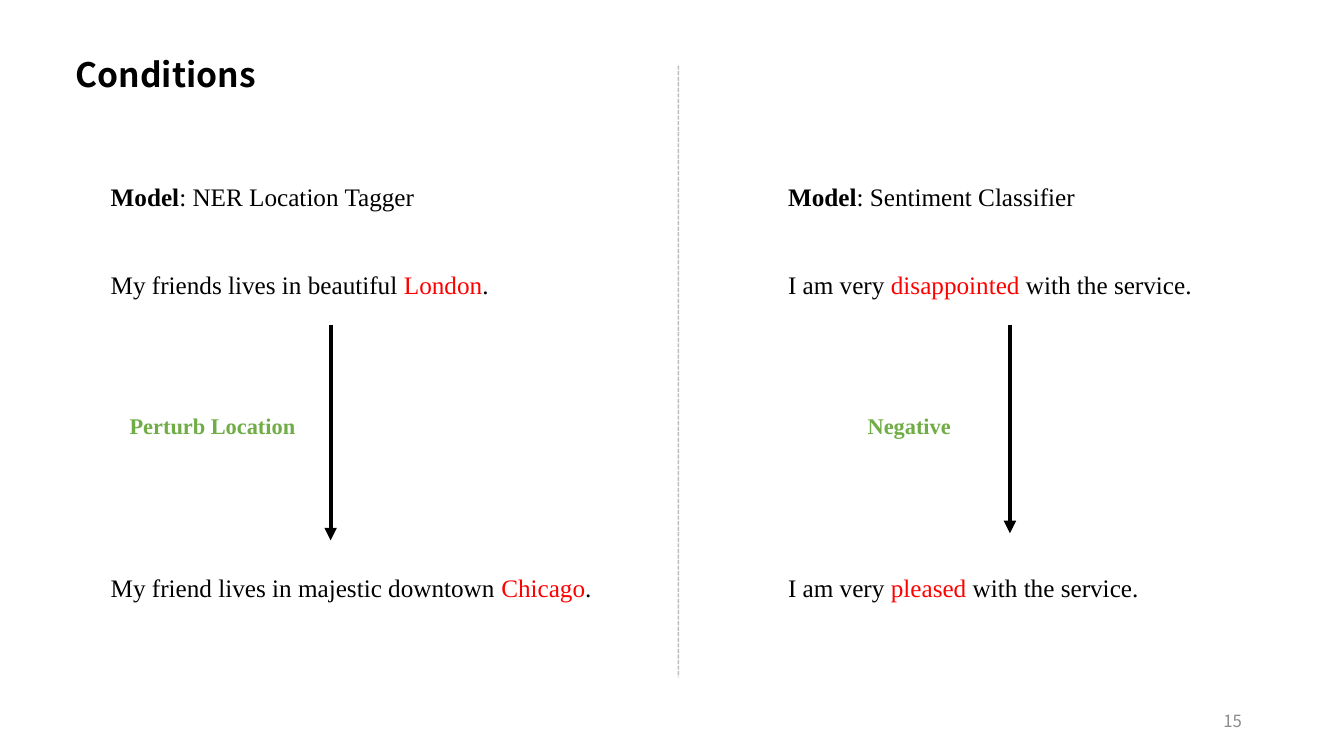
from lxml.etree import SubElement
from pptx import Presentation
from pptx.dml.color import RGBColor
from pptx.enum.dml import MSO_LINE
from pptx.enum.shapes import MSO_CONNECTOR
from pptx.enum.text import MSO_ANCHOR, MSO_AUTO_SIZE, PP_ALIGN
from pptx.oxml.ns import qn
from pptx.util import Pt

SANS, SERIF = "Noto Sans CJK SC", "Times New Roman"
BLACK, RED, GREEN, GRAY = "000000", "FF0000", "70AD47", "8C8C8C"
TITLE, NUMBER = "Conditions", "15"

SIDES = [
    {
        "left": 72,
        "model": ": NER Location Tagger",
        "before": ("My friends lives in beautiful ", "London", "."),
        "after": ("My friend lives in majestic downtown ", "Chicago", "."),
        "change": ("Perturb Location", 85.5, 171),
        "arrow": (236.2, 386),
    },
    {
        "left": 555.8,
        "model": ": Sentiment Classifier",
        "before": ("I am very ", "disappointed", " with the service."),
        "after": ("I am very ", "pleased", " with the service."),
        "change": ("Negative", 612.7, 78),
        "arrow": (721.4, 381),
    },
]
ROWS = {"model": 126, "before": 188.9, "after": 404.9}
WIDE, HIGH = 400, 29
LABEL_TOP, ARROW_TOP = 290.9, 231.8
SPLIT = (484.6, 46.8, 483.8)


def paint(color):
    return RGBColor.from_string(color)


def style(run, size, face, color, bold=False):
    font = run.font
    font.size, font.name, font.bold = Pt(size), face, bold
    font.color.rgb = paint(color)


def add_text(slide, parts, place, size, face=SERIF):
    box = slide.shapes.add_textbox(*map(Pt, place))
    frame = box.text_frame
    frame.word_wrap = True
    line = frame.paragraphs[0]
    for text, color, bold in parts:
        run = line.add_run()
        run.text = text
        style(run, size, face, color, bold)
    return frame


def add_line(slide, x, top, end, width):
    line = slide.shapes.add_connector(
        MSO_CONNECTOR.STRAIGHT, Pt(x), Pt(top), Pt(x), Pt(end))
    line.line.width = Pt(width)
    line.line.color.rgb = paint(BLACK)
    SubElement(line._element.spPr, qn("a:effectLst"))
    return line


def add_title(slide):
    title = slide.shapes.title
    title.left, title.top, title.width, title.height = map(
        Pt, (46.8, 34.6, 289.4, 36))
    frame = title.text_frame
    frame.text = TITLE
    frame.auto_size = MSO_AUTO_SIZE.NONE
    frame.vertical_anchor = MSO_ANCHOR.TOP
    line = frame.paragraphs[0]
    line.alignment = PP_ALIGN.LEFT
    style(line.runs[0], 24, SANS, BLACK, True)


def add_side(slide, side):
    for row, top in ROWS.items():
        if row == "model":
            parts = [("Model", BLACK, True), (side[row], BLACK, False)]
        else:
            parts = [(text, color, False) for text, color
                     in zip(side[row], (BLACK, RED, BLACK))]
        add_text(slide, parts, (side["left"], top, WIDE, HIGH), 18)
    text, left, width = side["change"]
    add_text(slide, [(text, GREEN, True)], (left, LABEL_TOP, width, 26.6), 16)
    x, end = side["arrow"]
    arrow = add_line(slide, x, ARROW_TOP, end, 3)
    SubElement(arrow.line._get_or_add_ln(), qn("a:tailEnd"), type="triangle")


def add_split(slide):
    split = add_line(slide, *SPLIT, 1)
    split.line.dash_style = MSO_LINE.SQUARE_DOT
    color = split._element.spPr.find(".//" + qn("a:srgbClr"))
    SubElement(color, qn("a:alpha"), val="25000")


def add_number(slide):
    frame = add_text(slide, [(NUMBER, GRAY, False)],
                     (678.2, 500.4, 216, 28.8), 12, SANS)
    frame.vertical_anchor = MSO_ANCHOR.MIDDLE
    frame.paragraphs[0].alignment = PP_ALIGN.RIGHT


def main():
    deck = Presentation()
    deck.slide_width, deck.slide_height = Pt(960), Pt(540)
    slide = deck.slides.add_slide(deck.slide_layouts[5])
    add_title(slide)
    for side in SIDES:
        add_side(slide, side)
    add_split(slide)
    add_number(slide)
    deck.save("out.pptx")


if __name__ == "__main__":
    main()
